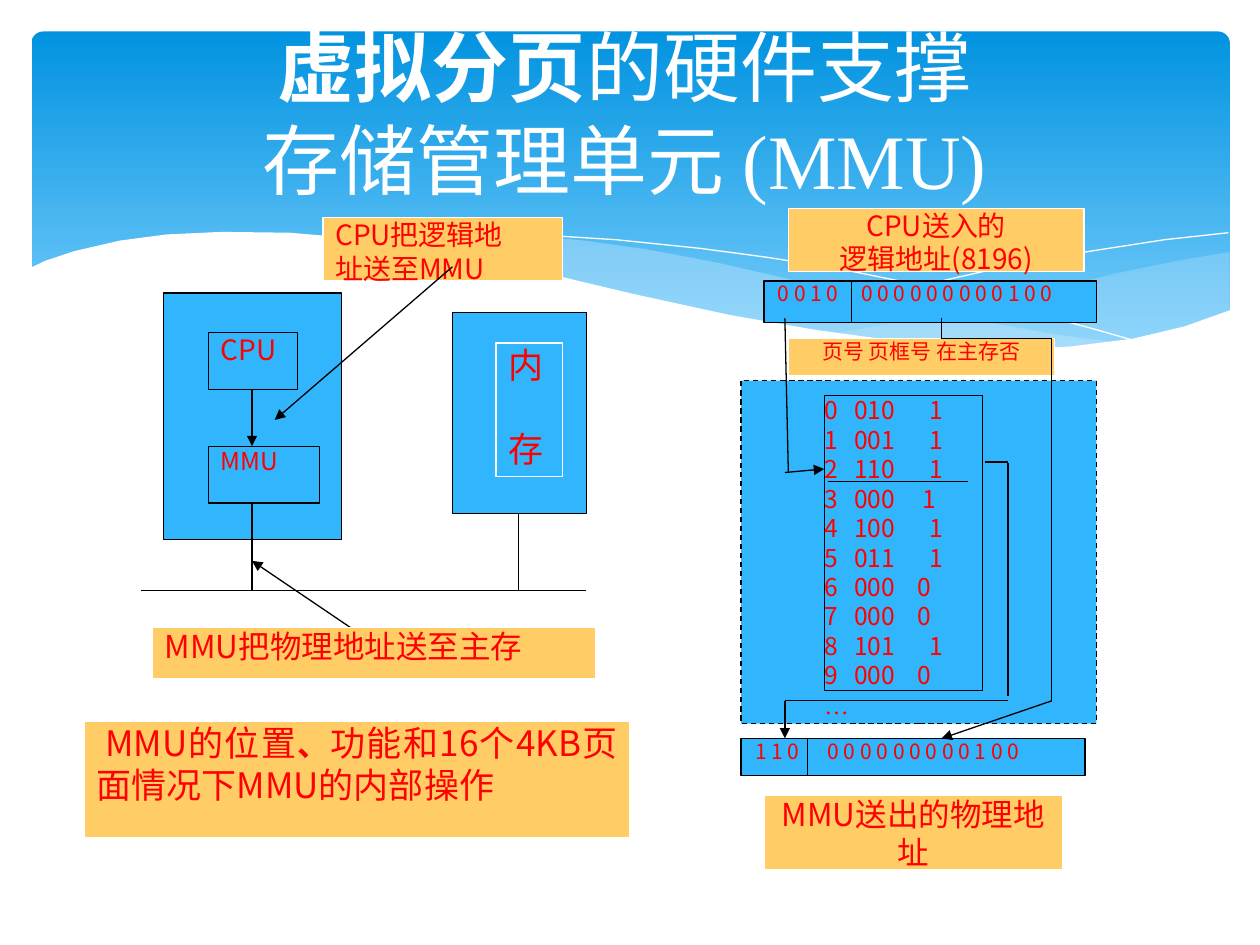
from itertools import pairwise

from lxml import etree
from pptx import Presentation
from pptx.dml.color import RGBColor
from pptx.enum.dml import MSO_LINE
from pptx.enum.shapes import MSO_CONNECTOR, MSO_SHAPE
from pptx.enum.text import MSO_ANCHOR, PP_ALIGN
from pptx.oxml.ns import qn
from pptx.util import Pt

RECT, ROUNDED = MSO_SHAPE.RECTANGLE, MSO_SHAPE.ROUNDED_RECTANGLE
STRAIGHT, DASH = MSO_CONNECTOR.STRAIGHT, MSO_LINE.DASH
TOP, MIDDLE = MSO_ANCHOR.TOP, MSO_ANCHOR.MIDDLE
LEFT, CENTER, JUSTIFY = PP_ALIGN.LEFT, PP_ALIGN.CENTER, PP_ALIGN.JUSTIFY

WHITE = RGBColor(0xFF, 0xFF, 0xFF)
BLACK = RGBColor(0x00, 0x00, 0x00)
RED = RGBColor(0xFF, 0x00, 0x00)
BLUE = RGBColor(0x31, 0xB6, 0xFD)
AMBER = RGBColor(0xFF, 0xCC, 0x66)
PALE = RGBColor(0xC6, 0xE7, 0xFC)
SKY_DARK = RGBColor(0x02, 0x93, 0xE0)
SKY_LIGHT = RGBColor(0x83, 0xD3, 0xFE)

SANS, SERIF = "Noto Sans CJK JP", "Times New Roman"
LINE_PITCH = 1.2

RIGHT_WAVE = [(684.7, 126), (655, 131), (623.5, 137.5), (581, 147.5), (524, 160.5),
              (490.5, 167), (458, 173), (489.5, 177), (518.5, 180), (560, 182),
              (597, 180.5), (628, 176.5), (655, 170.5), (684.7, 160)]
MIDDLE_WAVE = [(625, 178.5), (584.5, 173), (540, 165), (490.5, 155), (435, 142),
               (391.5, 132), (352, 124.5), (316, 119.5), (284.5, 116.5), (255.5, 115),
               (218, 116.5), (188, 119.5), (228, 125.5), (273, 134), (335.5, 149),
               (389.5, 160.5), (438.5, 170), (482.5, 176.5), (520.5, 180.5),
               (563, 183), (592.5, 182)]
LONG_LINE = [(204.5, 122.5), (229, 119), (260.5, 116.5), (294, 116.5), (334, 119),
             (382.5, 124), (420, 129), (461, 135.5), (505.5, 144.5), (554.5, 156),
             (607, 170), (635, 178)]
SHORT_LINE = [(423.5, 167), (466, 155.5), (520.5, 142.5), (562.5, 133), (605.5, 125.5),
              (647.5, 119), (684, 115)]
WHITE_WAVE = [(685.5, 159), (659, 168.5), (629.5, 175.5), (594, 180), (564.5, 181.5),
              (530, 180), (492, 176.5), (448, 170.5), (399, 162), (344, 150),
              (283, 135.5), (245, 127.5), (209, 121.5), (177, 117.5), (147.5, 115),
              (108.5, 114.5), (77, 116), (50.5, 119.5), (24.5, 125.5), (8, 131),
              (-1.5, 135.5), (-1.5, 219), (685.5, 219)]

PAGE_TABLE = [("010", "1", 60), ("001", "1", 60), ("110", "1", 60), ("000", "1", 56),
              ("100", "1", 60), ("011", "1", 60), ("000", "0", 53), ("000", "0", 53),
              ("101", "1", 60), ("000", "0", 53)]


def set_font(p, size, color, name=SANS):
    p.font.size, p.font.name = Pt(size), name
    p.font.color.rgb = color
    p.line_spacing = Pt(round(size * LINE_PITCH, 2))
    def_rpr = p._p.pPr.find(qn("a:defRPr"))
    etree.SubElement(def_rpr, qn("a:ea")).set("typeface", SANS)


def set_tabs(p, stops):
    tabs = etree.Element(qn("a:tabLst"))
    for stop in stops:
        etree.SubElement(tabs, qn("a:tab"), pos=str(Pt(stop)), algn="l")
    p._p.pPr.find(qn("a:defRPr")).addprevious(tabs)


def block(s, box, at, fill=BLUE, line=BLACK, lines=(), size=16, align=JUSTIFY, margin=7.2):
    x, y, w, h = at
    sp = s.shapes.add_shape(RECT, Pt(box[0] + x), Pt(box[1] + y), Pt(w), Pt(h))
    sp.shadow.inherit = False
    sp.fill.solid()
    sp.fill.fore_color.rgb = fill
    sp.line.color.rgb, sp.line.width = line, Pt(0.75)
    tf = sp.text_frame
    tf.word_wrap, tf.vertical_anchor = True, TOP
    tf.margin_left = tf.margin_right = Pt(margin)
    tf.margin_top = tf.margin_bottom = 0
    if lines:
        tf.text = "\n".join(lines)
        for p in tf.paragraphs:
            p.alignment = align
            set_font(p, size, RED)
    return sp


def link(s, box, points, arrow=False, width=0.75):
    x, y = box[:2]
    for (x1, y1), (x2, y2) in pairwise(points):
        c = s.shapes.add_connector(STRAIGHT, Pt(x + x1), Pt(y + y1), Pt(x + x2), Pt(y + y2))
        c.line.color.rgb, c.line.width = BLACK, Pt(width)
        etree.SubElement(c._element.spPr, qn("a:effectLst"))
    if arrow:
        etree.SubElement(c.line._get_or_add_ln(), qn("a:tailEnd"), type="triangle")


def wave(s, box, points, fill=None, alpha=100):
    pts = [(Pt(box[0] + x), Pt(box[1] + y)) for x, y in points]
    fb = s.shapes.build_freeform(*pts[0])
    fb.add_line_segments(pts[1:], close=fill is not None)
    sp = fb.convert_to_shape()
    sp.shadow.inherit = False
    if fill is None:
        sp.fill.background()
        sp.line.color.rgb, sp.line.width = WHITE, Pt(0)
        return
    sp.fill.solid()
    sp.fill.fore_color.rgb = fill
    sp.line.fill.background()
    if alpha < 100:
        color = sp._element.spPr.find(qn("a:solidFill"))[0]
        etree.SubElement(color, qn("a:alpha"), val=str(alpha * 1000))


def banner(s, box):
    sp = s.shapes.add_shape(ROUNDED, *map(Pt, box))
    sp.adjustments[0] = 0.034
    sp.shadow.inherit = False
    sp.line.fill.background()
    sp.fill.gradient()
    sp.fill.gradient_angle = 270
    for stop, color in zip(sp.fill.gradient_stops, (SKY_DARK, SKY_LIGHT)):
        stop.color.rgb = color
    wave(s, box, RIGHT_WAVE, PALE, 29)
    wave(s, box, MIDDLE_WAVE, PALE, 40)
    wave(s, box, LONG_LINE)
    wave(s, box, SHORT_LINE)
    wave(s, box, WHITE_WAVE, WHITE)


def title(s, box):
    sp = s.shapes.title
    s.shapes.element.append(sp.element)
    sp.left, sp.top, sp.width, sp.height = map(Pt, box)
    tf = sp.text_frame
    tf.word_wrap, tf.vertical_anchor = True, MIDDLE
    p = tf.paragraphs[0]
    p.alignment = CENTER
    set_font(p, 44, WHITE, SERIF)
    for text, bold in (("虚拟分页", True), ("的硬件支撑", False), ("存储管理单元 (MMU)", False)):
        if text.startswith("存储"):
            p.add_line_break()
        r = p.add_run()
        r.text, r.font.bold = text, bold


def mmu_position(s, box):
    block(s, box, (45.5, 43.5, 101.5, 141))
    block(s, box, (71, 66, 51, 32.5), lines=["CPU"], align=LEFT)
    block(s, box, (71, 131, 63.5, 32.5), lines=["MMU"], size=14, align=LEFT)
    block(s, box, (210.5, 54.5, 76.5, 115))
    memory = block(s, box, (235.5, 72, 38, 76.5), line=WHITE, lines=["内", "存"], size=20)
    memory.text_frame.paragraphs[1].space_before = Pt(24)
    link(s, box, [(96, 98.5), (96, 131)], arrow=True)
    link(s, box, [(96, 163.5), (96, 213.5)])
    link(s, box, [(32.5, 213.5), (287, 213.5)])
    link(s, box, [(248.5, 169.5), (248.5, 213.5)])
    link(s, box, [(159.5, 239.5), (96, 196.5)], arrow=True)
    block(s, box, (136.5, 0.5, 137, 36), AMBER, WHITE, ["CPU把逻辑地", "址送至MMU"])
    block(s, box, (39, 234.5, 253.5, 29.5), AMBER, WHITE, ["MMU把物理地址送至主存"], 18)
    link(s, box, [(210.5, 28.5), (109, 116)], arrow=True)
    caption = block(s, box, (0, 288.5, 312, 66), AMBER, WHITE, ["MMU的位置"], 20)
    p = caption.text_frame.paragraphs[0]
    p._p.pPr.set("indent", str(Pt(5)))
    comma = p.add_run()
    comma.text, comma.font.size, comma.font.bold = "、", Pt(18), True
    p.add_run().text = "功能和16个4KB页面情况下MMU的内部操作"


def register(s, box, at, page, tab, divider):
    sp = block(s, box, at, lines=[f"{page}\t0 0 0 0 0 0 0 0 0 1 0 0"], size=12, align=LEFT, margin=0)
    sp.text_frame.margin_left = Pt(8)
    set_tabs(sp.text_frame.paragraphs[0], [tab])
    x, y, _, h = at
    link(s, box, [(x + divider, y), (x + divider, y + h)])


def page_mapping(s, box):
    block(s, box, (0.5, 98.5, 203, 196)).line.dash_style = DASH
    block(s, box, (27.5, 0, 169, 36), AMBER, WHITE, ["CPU送入的", "逻辑地址(8196)"], align=CENTER)
    register(s, box, (13.5, 41.5, 190, 24), "0 0 1 0", 47.5, 50)
    register(s, box, (0.5, 303, 196.5, 21), "1 1 0", 41.5, 38)
    block(s, box, (13.5, 335.5, 170.5, 42.5), AMBER, WHITE, ["MMU送出的物理地址"], 18, CENTER)
    rows = [f"{i}\t{frame}\t{present}" for i, (frame, present, _) in enumerate(PAGE_TABLE)]
    table = block(s, box, (48, 107, 90.5, 168.5), lines=rows + ["…"], size=14, align=LEFT, margin=0)
    paragraphs = table.text_frame.paragraphs
    for p, (_, _, tab) in zip(paragraphs, PAGE_TABLE):
        set_tabs(p, [17, tab])
    paragraphs[-1].font.name = SERIF
    block(s, box, (27.5, 74.5, 152, 21.5), AMBER, WHITE, ["页号 页框号 在主存否"], 12, CENTER)
    link(s, box, [(25.5, 63), (27.5, 151)])
    link(s, box, [(25.5, 151), (48, 149)], arrow=True)
    link(s, box, [(140, 145), (153, 145)])
    link(s, box, [(153, 145.5), (153, 279)])
    link(s, box, [(153, 281.5), (25.5, 281.5)])
    link(s, box, [(25.5, 281.5), (25.5, 303)], arrow=True, width=1.5)
    link(s, box, [(115, 63), (115, 74.5), (178, 74.5), (178, 281.5), (115, 303)], arrow=True)
    link(s, box, [(50, 156), (130, 156)])


def main():
    prs = Presentation()
    prs.slide_width, prs.slide_height = Pt(720), Pt(540)
    s = prs.slides.add_slide(prs.slide_layouts[5])
    banner(s, (18, 18, 684.7, 194.4))
    title(s, (0, 39.5, 714, 49))
    mmu_position(s, (48, 124, 312, 354.5))
    page_mapping(s, (423, 119, 203.5, 378))
    prs.save("out.pptx")


if __name__ == "__main__":
    main()
